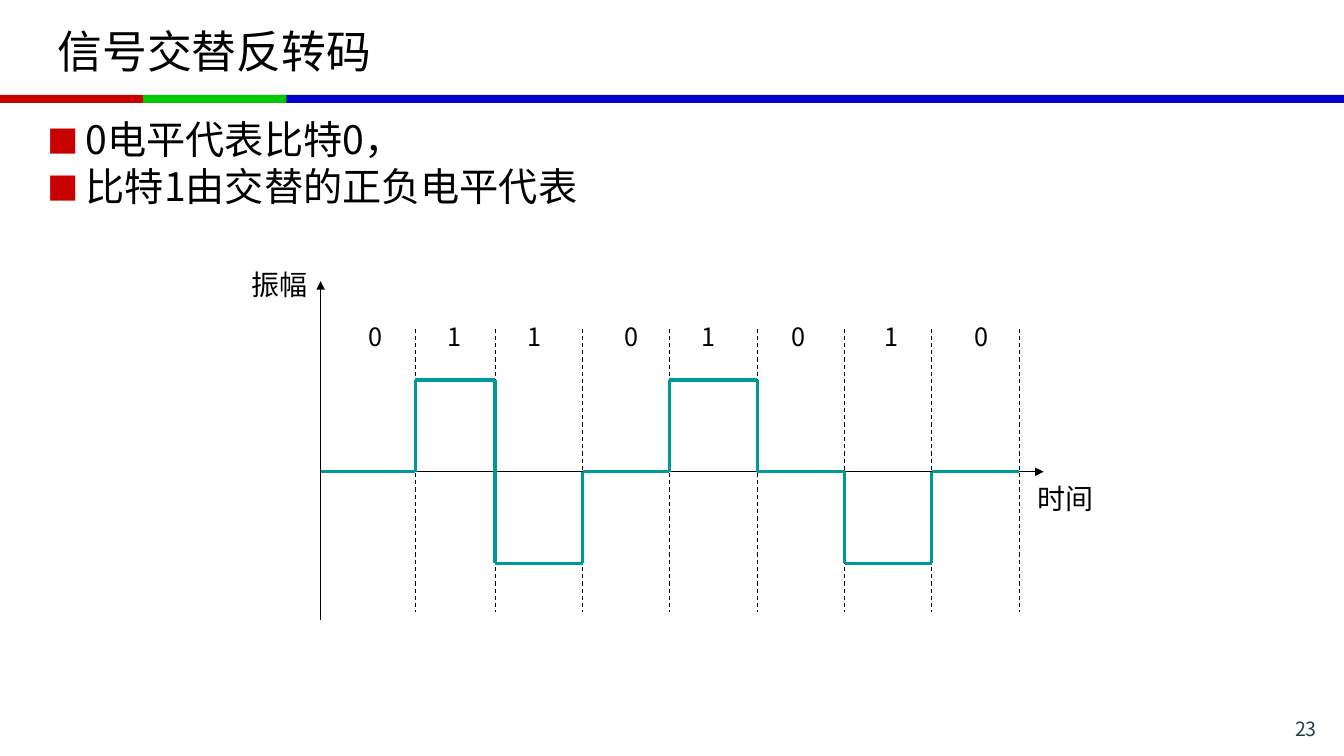
"""Build the slide on alternate mark inversion coding with its waveform."""
from lxml.etree import SubElement
from pptx import Presentation
from pptx.dml.color import RGBColor
from pptx.enum.dml import MSO_LINE
from pptx.enum.shapes import MSO_CONNECTOR, MSO_SHAPE
from pptx.enum.text import MSO_ANCHOR, MSO_AUTO_SIZE, PP_ALIGN
from pptx.oxml.ns import qn
from pptx.util import Pt

PX = 9144
FONT = "Noto Sans CJK SC"
BLACK, TEAL, RED = "000000", "009999", "C80000"


def style_text(paragraph, size, color=BLACK):
    for run in paragraph.runs:
        run.font.size = Pt(size)
        run.font.name = FONT
        run.font.color.rgb = RGBColor.from_string(color)
        SubElement(run.font._element, qn("a:ea"), typeface=FONT)


def draw_line(start, end, color, weight):
    line = slide.shapes.add_connector(
        MSO_CONNECTOR.STRAIGHT, *(v * PX for v in (*start, *end)))
    line.line.color.rgb = RGBColor.from_string(color)
    line.line.width = Pt(weight)
    SubElement(line._element.spPr, qn("a:effectLst"))
    return line


prs = Presentation()
prs.slide_width, prs.slide_height = 1333 * PX, 750 * PX
slide = prs.slides.add_slide(prs.slide_layouts[1])

for left, width, color in [(279, 1054, "0000C8"), (0, 142, RED), (142, 142, "00C800")]:
    band = slide.shapes.add_shape(
        MSO_SHAPE.RECTANGLE, left * PX, 94 * PX, width * PX, 8 * PX)
    band.shadow.inherit = False
    band.fill.solid()
    band.fill.fore_color.rgb = RGBColor.from_string(color)
    band.line.fill.background()

title = slide.shapes.title
title.left, title.top, title.width, title.height = (v * PX for v in (47, 8, 1239, 84))
title.text_frame.text = "信号交替反转码"
title.text_frame.vertical_anchor = MSO_ANCHOR.MIDDLE
heading = title.text_frame.paragraphs[0]
heading.alignment = PP_ALIGN.LEFT
style_text(heading, 32)

rules = slide.placeholders[1]
rules.left, rules.top, rules.width, rules.height = (v * PX for v in (37, 115, 1260, 595))
rules.text_frame.text = "0电平代表比特0，\n比特1由交替的正负电平代表"
for number, rule in enumerate(rules.text_frame.paragraphs):
    props = rule._p.get_or_add_pPr()
    props.set("marL", str(38 * PX))
    props.set("indent", str(-38 * PX))
    SubElement(SubElement(props, qn("a:buClr")), qn("a:srgbClr"), val=RED)
    SubElement(props, qn("a:buSzPct"), val="80000")
    SubElement(props, qn("a:buFont"), typeface=FONT)
    SubElement(props, qn("a:buChar"), char="■")
    rule.line_spacing = 0.9
    rule.space_before = Pt(3 * number)
    style_text(rule, 28)

zero_level, swing = 468, 91
edges = [318, 412, 491, 578, 664, 751, 838, 924, 1011]
bits = "01101010"
bit_centers = [372, 451, 530, 626, 703, 792, 884, 973]

for start, end in [((318, 615), (318, 279)), ((318, zero_level), (1035, zero_level))]:
    axis = draw_line(start, end, BLACK, 1)
    SubElement(axis.line._get_or_add_ln(), qn("a:tailEnd"), type="triangle")

for edge in edges[1:]:
    draw_line((edge, 326), (edge, 607), BLACK, 0.75).line.dash_style = MSO_LINE.DASH

polarity, level = 1, zero_level
for bit, left, right in zip(bits, edges, edges[1:]):
    previous, level = level, zero_level
    if bit == "1":
        level -= polarity * swing
        polarity = -polarity
    if level != previous:
        draw_line((left, previous), (left, level), TEAL, 2.25)
    draw_line((left, level), (right, level), TEAL, 2.25)

labels = [(bit, center - 17, 314, 34, 40, 18) for bit, center in zip(bits, bit_centers)]
labels += [("时间", 1019, 473, 76, 43, 20), ("振幅", 239, 260, 76, 43, 20)]
for text, left, top, width, height, size in labels:
    label = slide.shapes.add_textbox(left * PX, top * PX, width * PX, height * PX)
    label.text_frame.word_wrap = False
    label.text_frame.auto_size = MSO_AUTO_SIZE.SHAPE_TO_FIT_TEXT
    label.text_frame.text = text
    label.text_frame.paragraphs[0].alignment = PP_ALIGN.CENTER
    style_text(label.text_frame.paragraphs[0], size)

page = slide.shapes.add_textbox(1186 * PX, 706 * PX, 130 * PX, 28 * PX)
page.text_frame.word_wrap = True
page.text_frame.text = "23"
page.text_frame.paragraphs[0].alignment = PP_ALIGN.RIGHT
style_text(page.text_frame.paragraphs[0], 14, "1E4649")

prs.save("out.pptx")
